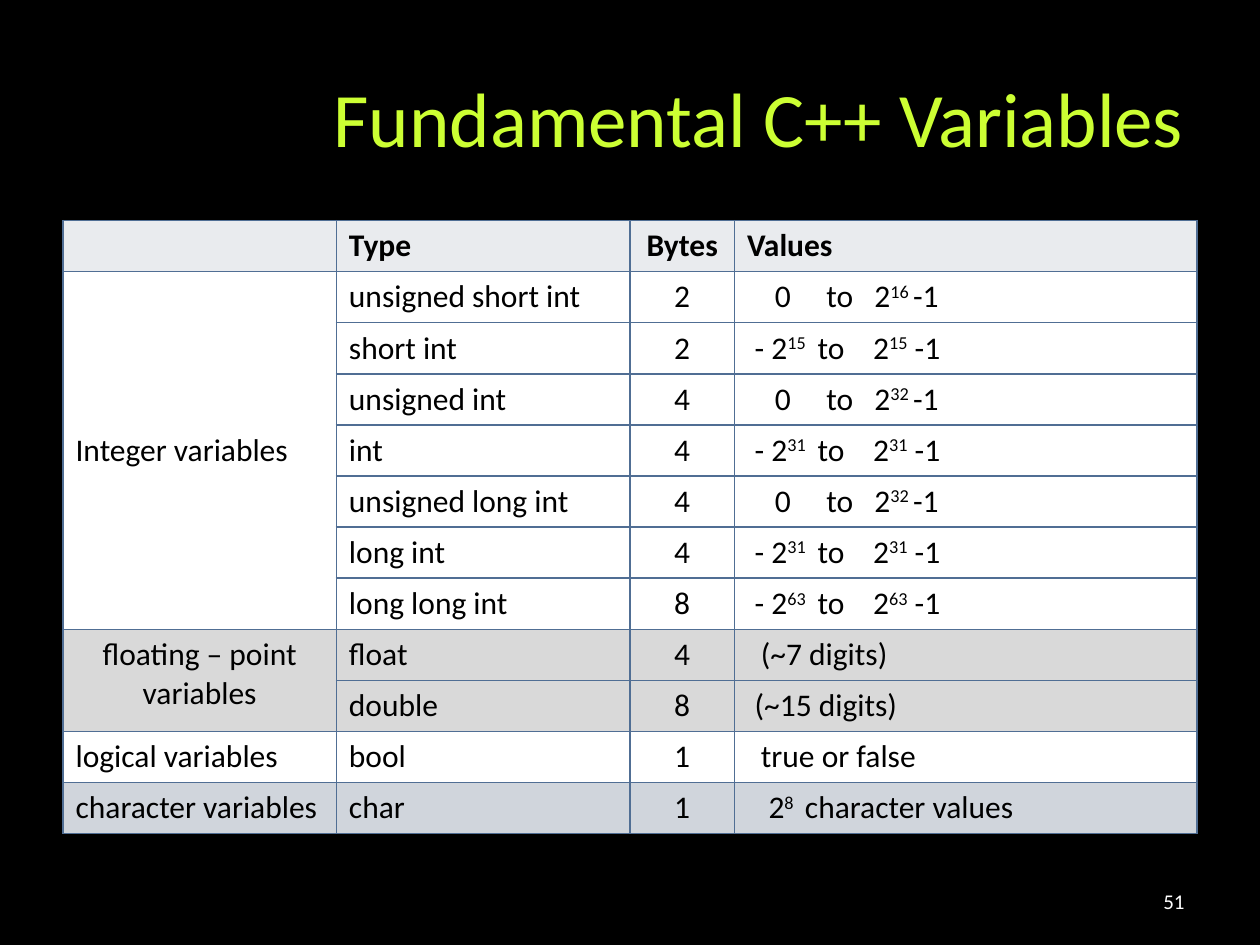
from lxml import etree
from pptx import Presentation
from pptx.dml.color import RGBColor
from pptx.enum.text import MSO_ANCHOR, PP_ALIGN
from pptx.oxml.ns import qn
from pptx.util import Inches, Pt

LEFT, CENTER, RIGHT = PP_ALIGN.LEFT, PP_ALIGN.CENTER, PP_ALIGN.RIGHT
MIDDLE = MSO_ANCHOR.MIDDLE
COLORS = {
    "back": "000000", "title": "CCFF33", "light": "FFFFFF", "ink": "000000",
    "head": "E9EBEE", "gray": "D9D9D9", "blue": "D0D5DC", "line": "506E94",
}


def put_text(frame, text, size=18, color="ink", bold=False, align=LEFT):
    """Fill a text frame; parts between ^ marks are superscript."""
    para = frame.paragraphs[0]
    para.alignment = align
    for i, part in enumerate(text.split("^")):
        if not part:
            continue
        run = para.add_run()
        run.text = part
        font = run.font
        font.name, font.size, font.bold = "Calibri", Pt(size), bold
        font.color.rgb = RGBColor.from_string(COLORS[color])
        if i % 2:
            font._element.set("baseline", "30000")
    return para


def add_edges(cell):
    """Draw a thin line on all four sides of a cell."""
    props = cell._tc.get_or_add_tcPr()
    for i, side in enumerate(("lnL", "lnR", "lnT", "lnB")):
        edge = etree.Element(qn("a:" + side), w=str(Pt(1)))
        fill = etree.SubElement(edge, qn("a:solidFill"))
        etree.SubElement(fill, qn("a:srgbClr"), val=COLORS["line"])
        props.insert(i, edge)


deck = Presentation()
deck.slide_width, deck.slide_height = Inches(10), Inches(7.5)
slide = deck.slides.add_slide(deck.slide_layouts[5])
slide.background.fill.solid()
slide.background.fill.fore_color.rgb = RGBColor.from_string(COLORS["back"])

title = slide.shapes.title
title.left, title.top = Inches(0.5), Inches(0.3)
title.width, title.height = Inches(9), Inches(1.25)
title.text_frame.vertical_anchor = MIDDLE
put_text(title.text_frame, "Fundamental C++ Variables", size=44,
         color="title", align=RIGHT)

# Value layouts: left indent, then tab stops measured from that indent
PLAIN, FROM_ZERO, SIGNED = (0, ()), (0.22, (0.41, 0.79)), (0.06, (0.5, 0.94))
NEAR, FAR = (0.11, ()), (0.17, ())

# Fill, group, type, bytes, values, value layout
rows = [("head", "", "Type", "Bytes", "Values", PLAIN)]
whole = [("unsigned short int", 2, 16), ("short int", 2, 15),
         ("unsigned int", 4, 32), ("int", 4, 31),
         ("unsigned long int", 4, 32), ("long int", 4, 31),
         ("long long int", 8, 63)]
for i, (kind, size, power) in enumerate(whole):
    group = "" if i else "Integer variables"
    if kind.startswith("unsigned"):
        values, layout = f"0\tto\t2^{power} ^-1", FROM_ZERO
    else:
        values, layout = f"- 2^{power}^\tto\t2^{power}^ -1", SIGNED
    rows.append(("light", group, kind, str(size), values, layout))
rows += [
    ("gray", "floating – point variables", "float", "4", "(~7 digits)", NEAR),
    ("gray", "", "double", "8", "(~15 digits)", (0.06, ())),
    ("light", "logical variables", "bool", "1", "true or false", NEAR),
    ("blue", "character variables", "char", "1",
     "2^8 ^ character values", FAR),
]

high = 4.87 / len(rows)
table = slide.shapes.add_table(len(rows), 4, Inches(0.5), Inches(1.75),
                               Inches(9), Inches(4.87)).table
table.first_row = table.horz_banding = False
for col, wide in zip(table.columns, (2.17, 2.33, 0.83, 3.67)):
    col.width = Inches(wide)

for r, (fill, *texts, (indent, stops)) in enumerate(rows):
    table.rows[r].height = Inches(high)
    for c, text in enumerate(texts):
        cell = table.cell(r, c)
        cell.fill.solid()
        cell.fill.fore_color.rgb = RGBColor.from_string(COLORS[fill])
        add_edges(cell)
        mid = c == 2 or text.startswith("floating")
        para = put_text(cell.text_frame, text, bold=r == 0,
                        align=CENTER if mid else LEFT)
        if c == 3:
            cell.margin_left = Inches(0.1 + indent)
            if stops:
                tabs = etree.SubElement(para._p.get_or_add_pPr(),
                                        qn("a:tabLst"))
                for stop in stops:
                    etree.SubElement(tabs, qn("a:tab"),
                                     pos=str(Inches(stop)), algn="l")

for first, last in ((1, 7), (8, 9)):
    table.cell(first, 0).merge(table.cell(last, 0))
table.cell(1, 0).vertical_anchor = MIDDLE

page = slide.shapes.add_textbox(Inches(7.17), Inches(6.95),
                                Inches(2.33), Inches(0.4))
page.text_frame.word_wrap = True
page.text_frame.vertical_anchor = MIDDLE
put_text(page.text_frame, "51", size=12, color="light", align=RIGHT)

deck.save("out.pptx")
